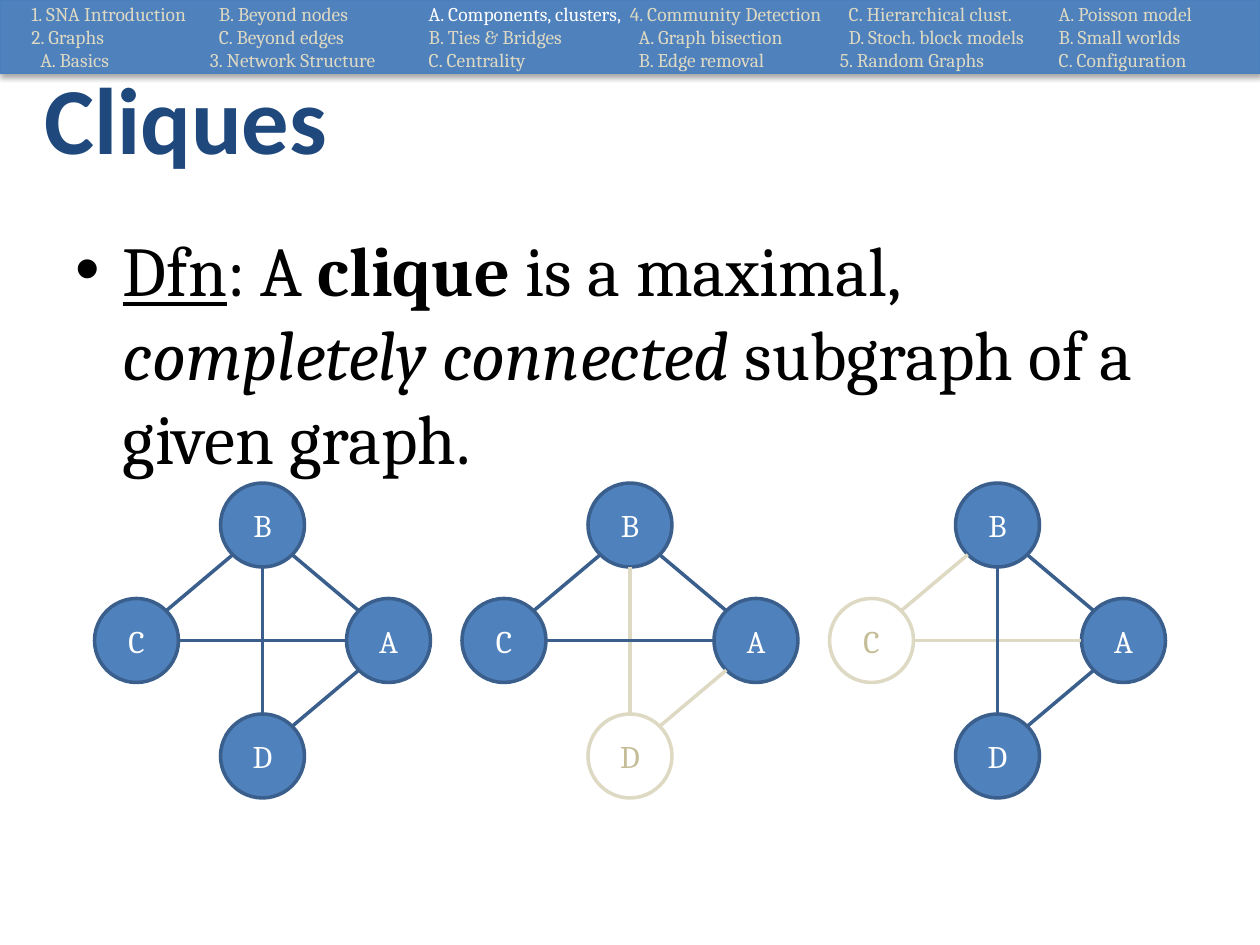
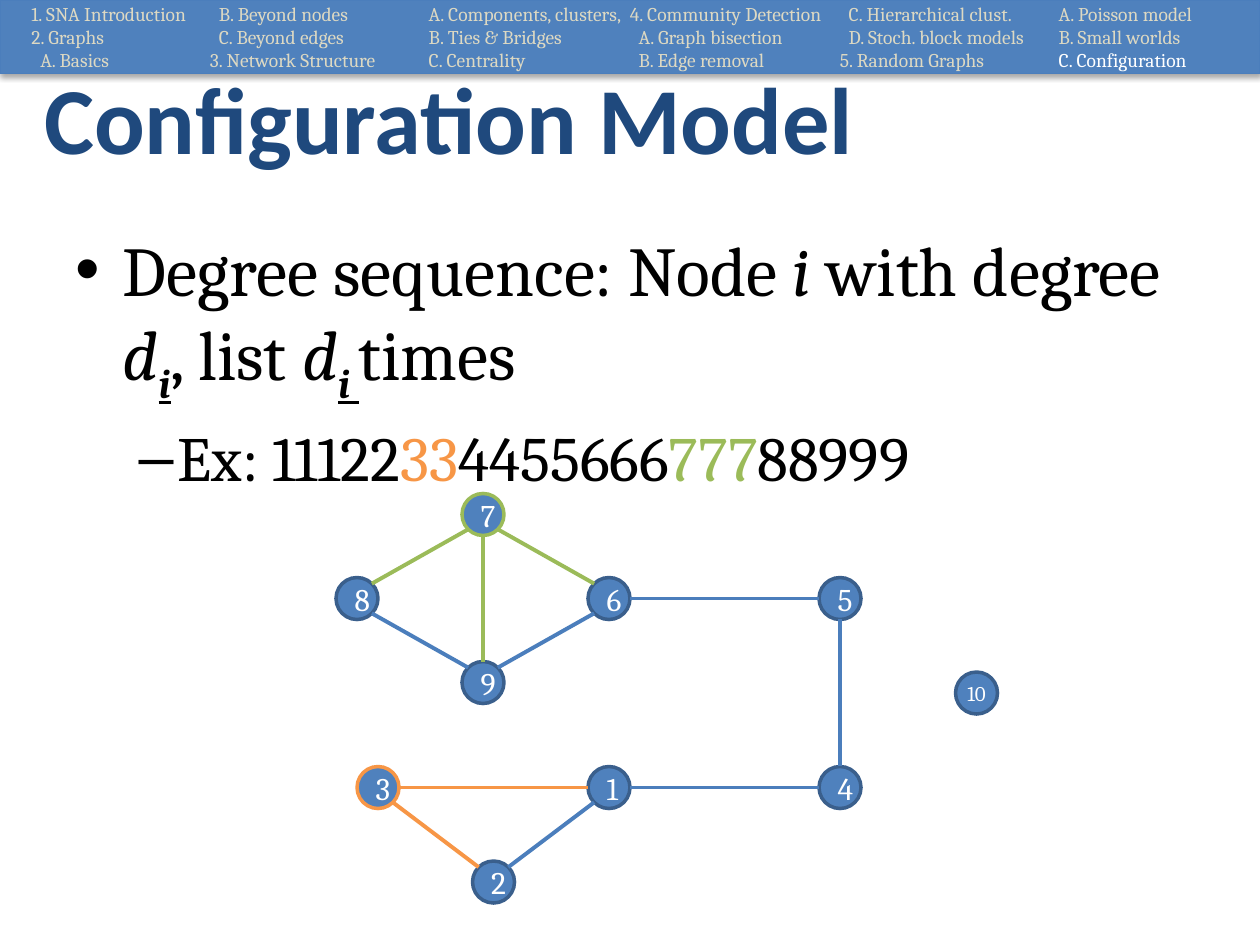
from math import sqrt

from lxml import etree
from pptx import Presentation
from pptx.dml.color import RGBColor
from pptx.enum.shapes import MSO_CONNECTOR as CXN, MSO_SHAPE as SHAPE
from pptx.enum.text import MSO_ANCHOR as ANCHOR, MSO_AUTO_SIZE as FIT, PP_ALIGN as ALIGN
from pptx.oxml.ns import qn
from pptx.util import Inches, Pt

COLS, ROWS = 120, 90
CELL = Inches(10) // COLS
HEAD, BODY = "Calibri", "Cambria"
BLUE, DARK, EDGE, NAVY = "4F81BD", "3A5F8C", "4B7EBC", "1F497D"
WHITE, BLACK, SAND, TAN = "FFFFFF", "000000", "DDD9C3", "C4BD97"
ORANGE, GREEN = "F79646", "9BBB59"

OUTLINE = [
    "1. SNA Introduction", "2. Graphs", "A. Basics",
    "B. Beyond nodes", "C. Beyond edges", "3. Network Structure",
    "A. Components, clusters,", "B. Ties & Bridges", "C. Centrality",
    "4. Community Detection", "A. Graph bisection", "B. Edge removal",
    "C. Hierarchical clust.", "D. Stoch. block models", "5. Random Graphs",
    "A. Poisson model", "B. Small worlds", "C. Configuration",
]
BAND_COLS = 6

CLIQUE_NODES = {"A": (24, 11), "B": (12, 0), "C": (0, 11), "D": (12, 22)}
CLIQUE_EDGES = ["BC", "BA", "AD", "BD", "CA"]
CLIQUE_SIZE, CLIQUE_PITCH = 8, 35

CONFIG_NODES = {
    "8": (0, 8), "6": (24, 8), "7": (12, 0), "9": (12, 16), "5": (46, 8),
    "10": (59, 17), "4": (46, 26), "1": (24, 26), "3": (2, 26), "2": (13, 35),
}
CONFIG_EDGES = ["87", "76", "98", "21", "97", "96", "23", "65", "45", "14", "31"]
CONFIG_SIZE = 4


def rgb(color):
    """Turn a hex string into a colour."""
    return RGBColor.from_string(color)


def cells(*values):
    """Turn grid cells into lengths."""
    return [round(v * CELL) for v in values]


def set_font(font, size, color, name=BODY, bold=None):
    """Set the face, size and colour of a font."""
    font.name, font.size, font.bold = name, Pt(size), bold
    font.color.rgb = rgb(color)


def paint(s, fill, line, width):
    """Give a shape a flat fill and outline."""
    s.shadow.inherit = False
    s.fill.solid()
    s.fill.fore_color.rgb = rgb(fill)
    s.line.color.rgb = rgb(line)
    s.line.width = Pt(width)


def place(s, left, top, width, height):
    """Move a shape to a box on the grid."""
    s.left, s.top, s.width, s.height = cells(left, top, width, height)


def add_band(slide, current):
    """Draw the outline band with the current section lit."""
    s = slide.shapes.add_shape(SHAPE.RECTANGLE, *cells(0, 0, COLS, 7))
    paint(s, BLUE, EDGE, 0.75)
    effects = s._element.spPr.find(qn("a:effectLst"))
    shadow = etree.SubElement(effects, qn("a:outerShdw"), blurRad=str(Pt(3.1)),
                              dist=str(Pt(1.8)), dir="5400000", rotWithShape="0")
    color = etree.SubElement(shadow, qn("a:srgbClr"), val=BLACK)
    etree.SubElement(color, qn("a:alpha"), val="35000")

    tf = s.text_frame
    tf.word_wrap = True
    tf.vertical_anchor = ANCHOR.MIDDLE
    tf.margin_left = tf.margin_right = tf.margin_top = tf.margin_bottom = 0
    tf._txBody.bodyPr.set("numCol", str(BAND_COLS))
    per_col = len(OUTLINE) // BAND_COLS
    for i, entry in enumerate(OUTLINE):
        p = tf.paragraphs[0] if i == 0 else tf.add_paragraph()
        p.text = entry
        p.alignment = ALIGN.LEFT
        margin = 0.25 if i < per_col else 0
        if entry[0].isalpha():
            margin += 0.07
        p._p.get_or_add_pPr().set("marL", str(Inches(margin)))
        set_font(p.font, 11.1, WHITE if entry == current else SAND)


def add_title(slide, text):
    """Fill the title placeholder."""
    s = slide.shapes.title
    place(s, 3, 3.6, 114, 15)
    tf = s.text_frame
    tf.text = text
    tf.auto_size = FIT.NONE
    tf.vertical_anchor = ANCHOR.MIDDLE
    p = tf.paragraphs[0]
    p.alignment = ALIGN.LEFT
    set_font(p.font, 54, NAVY, HEAD, True)


def add_body(slide, height, items):
    """Fill the list placeholder from (size, runs) items, one level each."""
    s = slide.placeholders[1]
    place(s, 6, 21, 108, height)
    tf = s.text_frame
    tf.auto_size = FIT.NONE
    for level, (size, runs) in enumerate(items):
        p = tf.add_paragraph() if level else tf.paragraphs[0]
        p.level = level
        p.space_before = Pt(0.2 * size if level else 0)
        set_font(p.font, size, BLACK)
        for text, style in runs:
            r = p.add_run()
            r.text = text
            r.font.bold = "b" in style or None
            r.font.italic = "i" in style or None
            r.font.underline = "u" in style or None
            if "sub" in style:
                r._r.get_or_add_rPr().set("baseline", "-25000")
            if style in (ORANGE, GREEN):
                r.font.color.rgb = rgb(style)


def add_node(slide, label, box, fill, line, color):
    """Draw one labelled circle."""
    s = slide.shapes.add_shape(SHAPE.OVAL, *cells(*box))
    paint(s, fill, line, 2)
    tf = s.text_frame
    tf.vertical_anchor = ANCHOR.MIDDLE
    wide = len(label) > 1
    if wide:
        tf.margin_left = tf.margin_right = tf.margin_top = tf.margin_bottom = 0
    p = tf.paragraphs[0]
    p.text = label
    p.alignment = ALIGN.CENTER
    set_font(p.font, 12 if wide else 18, color)


def add_edge(slide, start, end, size, color, width):
    """Join two circles between their nearest compass points."""
    dx, dy = [(b > a) - (b < a) for a, b in zip(start, end)]
    reach = size / 2 / (sqrt(2) if dx and dy else 1)
    mid = size / 2
    (x1, y1), (x2, y2) = start, end
    points = cells(x1 + mid + dx * reach, y1 + mid + dy * reach,
                   x2 + mid - dx * reach, y2 + mid - dy * reach)
    s = slide.shapes.add_connector(CXN.STRAIGHT, *points)
    s.line.color.rgb = rgb(color)
    s.line.width = Pt(width)
    etree.SubElement(s._element.spPr, qn("a:effectLst"))


def add_graph(slide, origin, nodes, edges, size, accents, edge_color, width, faded=False):
    """Draw a graph whose accented nodes colour their outlines and edges."""
    left, top = origin
    spots = {label: (left + x, top + y) for label, (x, y) in nodes.items()}
    for label, spot in spots.items():
        pale = faded and label in accents
        add_node(slide, label, (*spot, size, size), WHITE if pale else BLUE,
                 accents.get(label, DARK), TAN if pale else WHITE)
    for a, b in sorted(edges, key=lambda e: not set(e) & set(accents)):
        color = accents.get(a) or accents.get(b) or edge_color
        add_edge(slide, spots[a], spots[b], size, color, width)


def new_slide(prs, title, height, items):
    """Start a slide with its title and list."""
    slide = prs.slides.add_slide(prs.slide_layouts[1])
    add_title(slide, title)
    add_body(slide, height, items)
    return slide


def cliques_slide(prs):
    """Build the definition of a clique with three example graphs."""
    slide = new_slide(prs, "Cliques", 69, [(40, [
        ("Dfn", "u"), (": A ", ""), ("clique ", "b"), ("is a maximal, ", ""),
        ("completely connected ", "i"), ("subgraph of a given graph.", "")])])
    for i, outsider in enumerate(["", "D", "C"]):
        edges = [e for e in CLIQUE_EDGES]
        accents = {outsider: SAND} if outsider else {}
        add_graph(slide, (9 + i * CLIQUE_PITCH, 46), CLIQUE_NODES, edges,
                  CLIQUE_SIZE, accents, DARK, 2, faded=True)
    add_band(slide, "A. Components, clusters,")


def configuration_slide(prs):
    """Build the degree sequence with its graph."""
    slide = new_slide(prs, "Configuration Model", 59.4, [
        (40, [("Degree sequence: Node ", ""), ("i ", "i"), ("with degree ", ""),
              ("d", "i"), ("i", "i sub"), (", list ", ""),
              ("d", "i"), ("i ", "i sub"), ("times", "")]),
        (36, [("Ex: 11122", ""), ("33", ORANGE), ("4455666", ""),
              ("777", GREEN), ("88999", "")])])
    add_graph(slide, (32, 47), CONFIG_NODES, CONFIG_EDGES, CONFIG_SIZE,
              {"7": GREEN, "3": ORANGE}, EDGE, 2.25)
    add_band(slide, "C. Configuration")


def main():
    """Build and save the deck."""
    prs = Presentation()
    prs.slide_width, prs.slide_height = cells(COLS, ROWS)
    cliques_slide(prs)
    configuration_slide(prs)
    prs.save("out.pptx")


if __name__ == "__main__":
    main()
